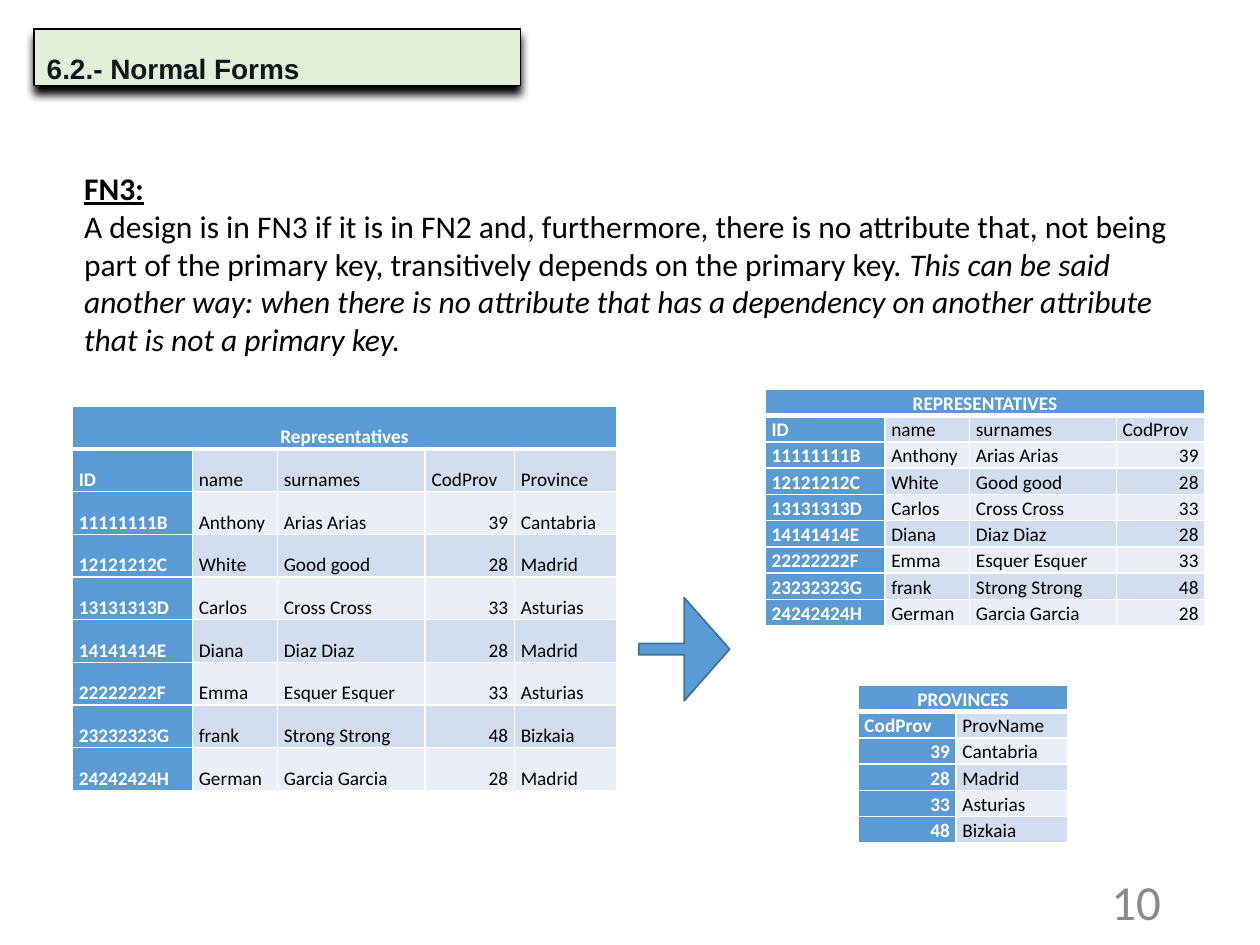
from pptx import Presentation
from pptx.dml.color import RGBColor
from pptx.enum.shapes import MSO_SHAPE as Shape
from pptx.enum.text import MSO_ANCHOR as Anchor, MSO_AUTO_SIZE as AutoSize, PP_ALIGN as Align
from pptx.oxml import parse_xml
from pptx.oxml.ns import nsdecls
from pptx.util import Pt

BLACK = RGBColor(0x00, 0x00, 0x00)
WHITE = RGBColor(0xFF, 0xFF, 0xFF)
INK = RGBColor(0x11, 0x15, 0x1A)
GREY = RGBColor(0x89, 0x89, 0x89)
PALE_GREEN = RGBColor(0xE2, 0xF0, 0xD9)
BLUE = RGBColor(0x5B, 0x9B, 0xD5)
DARK_BLUE = RGBColor(0x41, 0x71, 0x9C)
BAND_DARK = RGBColor(0xD2, 0xDE, 0xEF)
BAND_LIGHT = RGBColor(0xEA, 0xEF, 0xF7)


def add_run(paragraph, text, color, **formats):
    run = paragraph.add_run()
    run.text = text
    run.font.color.rgb = color
    for name, value in ({"name": "Calibri"} | formats).items():
        setattr(run.font, name, value)


def format_cell(cell, text, row, column):
    heading = row == 0 or column == 0
    for name, value in {"vertical_anchor": Anchor.BOTTOM, "margin_left": Pt(3.6),
                        "margin_right": Pt(3.6), "margin_top": 0, "margin_bottom": 0}.items():
        setattr(cell, name, value)
    cell.fill.solid()
    cell.fill.fore_color.rgb = BLUE if heading else (BAND_DARK if row % 2 else BAND_LIGHT)
    # White borders, thicker below the caption row
    widths = {"L": 1, "R": 1, "T": 3 if row == 1 else 1, "B": 3 if row == 0 else 1}
    for position, (side, width) in enumerate(widths.items()):
        cell._tc.get_or_add_tcPr().insert(position, parse_xml(
            f'<a:ln{side} {nsdecls("a")} w="{Pt(width)}"><a:solidFill>'
            f'<a:srgbClr val="{WHITE}"/></a:solidFill></a:ln{side}>'))
    paragraph = cell.text_frame.paragraphs[0]
    paragraph.line_spacing = 1.07
    paragraph.alignment = (Align.CENTER if row == 0 else
                           Align.RIGHT if text.isdigit() else Align.LEFT)
    if text:
        add_run(paragraph, text, WHITE if heading else BLACK, size=Pt(11), bold=heading)


presentation = Presentation()
presentation.slide_width, presentation.slide_height = Pt(720), Pt(540)
slide = presentation.slides.add_slide(presentation.slide_layouts[5])

# Title with a drop shadow
title = slide.shapes.title
for name, value in {"left": Pt(19.5), "top": Pt(16.5), "width": Pt(278), "height": Pt(32.5)}.items():
    setattr(title, name, value)
title.fill.solid()
title.fill.fore_color.rgb = PALE_GREEN
title.line.color.rgb = BLACK
title.line.width = Pt(0.75)
title._element.spPr.append(parse_xml(
    f'<a:effectLst {nsdecls("a")}><a:outerShdw blurRad="{Pt(5)}" dist="{Pt(4)}" dir="5400000" '
    f'algn="t" rotWithShape="0"><a:srgbClr val="{BLACK}"/></a:outerShdw></a:effectLst>'))
for name, value in {"auto_size": AutoSize.NONE, "word_wrap": True,
                    "vertical_anchor": Anchor.TOP}.items():
    setattr(title.text_frame, name, value)
paragraph = title.text_frame.paragraphs[0]
paragraph.alignment = Align.LEFT
paragraph.line_spacing = 1.5
properties = paragraph._p.get_or_add_pPr()
properties.set("marL", str(Pt(36)))
properties.set("indent", str(-Pt(36)))
add_run(paragraph, "6.2.- Normal Forms", INK, name="Arial", size=Pt(16), bold=True)

# Slide number
number_box = slide.shapes.add_textbox(Pt(508.5), Pt(500.5), Pt(162), Pt(28.75))
number_box.text_frame.word_wrap = True
number_box.text_frame.vertical_anchor = Anchor.MIDDLE
paragraph = number_box.text_frame.paragraphs[0]
paragraph.alignment = Align.RIGHT
add_run(paragraph, "10", GREY, size=Pt(28))

# Definition
definition = slide.shapes.add_textbox(Pt(41), Pt(93), Pt(647), Pt(140)).text_frame
definition.word_wrap = True
add_run(definition.paragraphs[0], "FN3:", BLACK, size=Pt(18), bold=True, underline=True)
paragraph = definition.add_paragraph()
add_run(paragraph, "A design is in FN3 if it is in FN2 and, furthermore, there is no attribute that, "
        "not being part of the primary key, transitively depends on the primary key. ",
        BLACK, size=Pt(18))
add_run(paragraph, "This can be said another way: when there is no attribute that has a dependency "
        "on another attribute that is not a primary key.", BLACK, size=Pt(18), italic=True)

# Data: the split tables are derived from the joined one
provinces = {"39": "Cantabria", "28": "Madrid", "33": "Asturias", "48": "Bizkaia"}
representatives = [
    ("ID", "name", "surnames", "CodProv"),
    ("11111111B", "Anthony", "Arias Arias", "39"),
    ("12121212C", "White", "Good good", "28"),
    ("13131313D", "Carlos", "Cross Cross", "33"),
    ("14141414E", "Diana", "Diaz Diaz", "28"),
    ("22222222F", "Emma", "Esquer Esquer", "33"),
    ("23232323G", "frank", "Strong Strong", "48"),
    ("24242424H", "German", "Garcia Garcia", "28"),
]
joined = [(*record, provinces.get(record[-1], "Province")) for record in representatives]
province_rows = [("CodProv", "ProvName"), *provinces.items()]

# Tables: caption, rows, left, top, column widths, row height
tables = [
    ("Representatives", joined, 41.4, 232.2, (68.6, 48.6, 84.4, 51, 58.4), 24.4),
    ("REPRESENTATIVES", representatives, 437.3, 222.5, (68.4, 48.4, 83.8, 50.6), 15),
    ("PROVINCES", province_rows, 490.4, 391.6, (56, 64), 15),
]
for caption, records, left, top, widths, row_height in tables:
    rows = [(caption,) + ("",) * (len(widths) - 1), *records]
    table = slide.shapes.add_table(len(rows), len(widths), Pt(left), Pt(top),
                                   Pt(sum(widths)), Pt(row_height * len(rows))).table
    for column, width in zip(table.columns, widths):
        column.width = Pt(width)
    for row_index, values in enumerate(rows):
        table.rows[row_index].height = Pt(row_height)
        for column_index, text in enumerate(values):
            format_cell(table.cell(row_index, column_index), text, row_index, column_index)
    table.cell(0, 0).merge(table.cell(0, len(widths) - 1))

# Arrow from the joined table to the split ones
arrow = slide.shapes.add_shape(Shape.RIGHT_ARROW, Pt(365), Pt(341.5), Pt(52), Pt(59))
arrow.adjustments[0], arrow.adjustments[1] = 0.11, 0.5
arrow.shadow.inherit = False
arrow.fill.solid()
arrow.fill.fore_color.rgb = BLUE
arrow.line.color.rgb = DARK_BLUE
arrow.line.width = Pt(1)

presentation.save("out.pptx")
